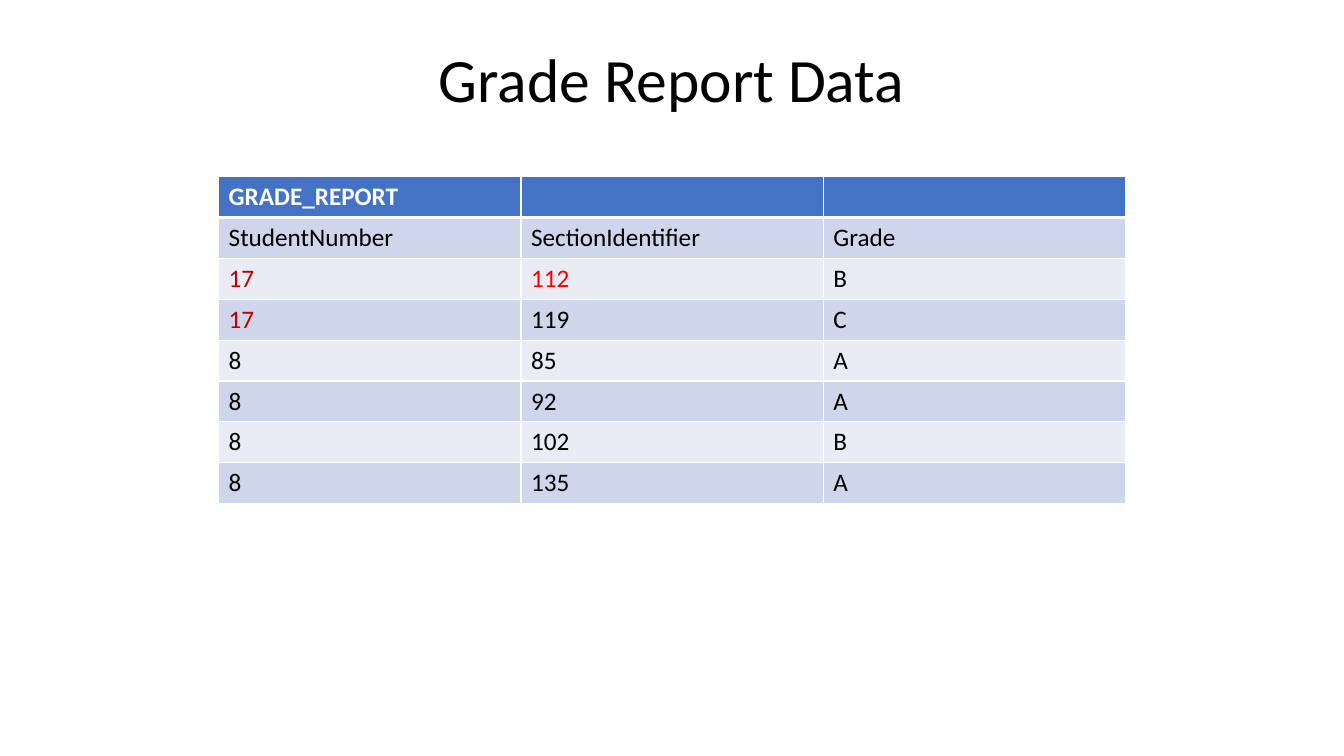
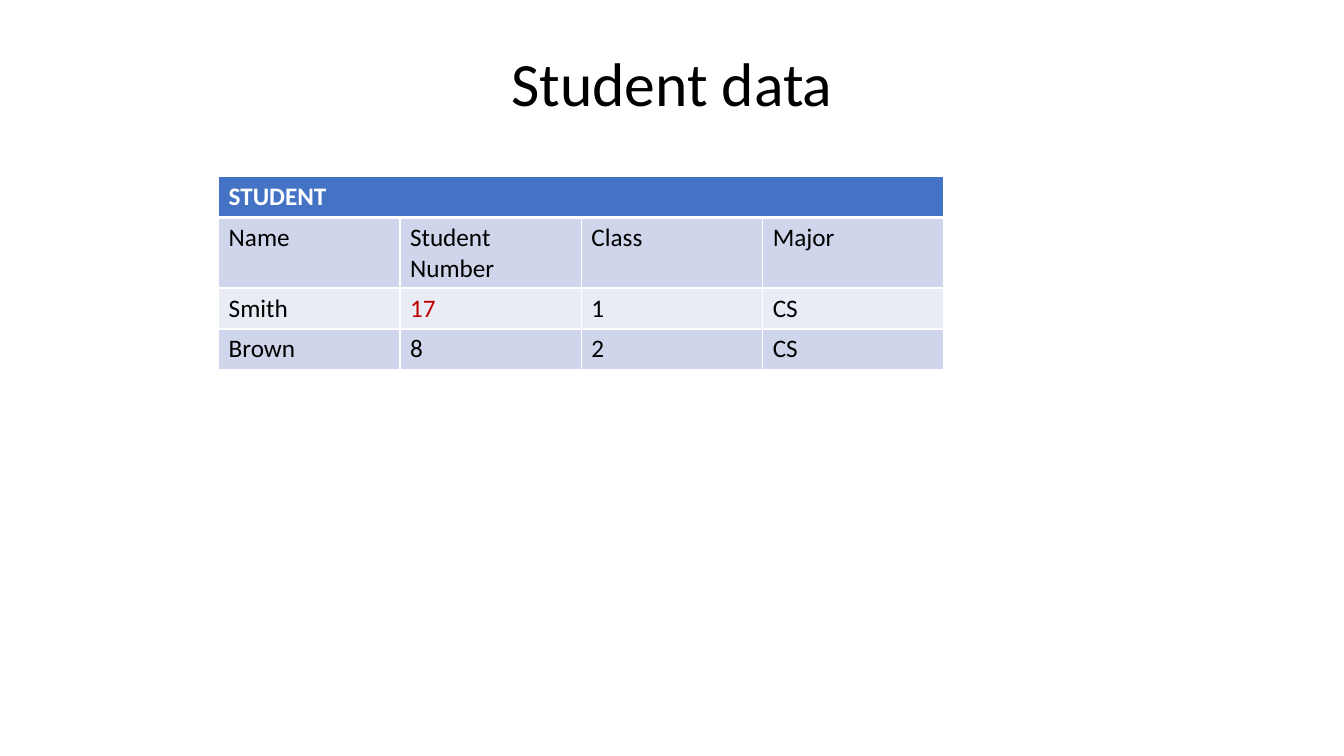
from dataclasses import dataclass, field

from lxml.etree import SubElement
from pptx import Presentation
from pptx.dml.color import RGBColor
from pptx.enum.text import MSO_ANCHOR as Anchor, PP_ALIGN as Align
from pptx.oxml.ns import qn
from pptx.util import Cm, Pt

# Shared look
FONT = "Calibri"
BLACK, WHITE, RED, BRIGHT = "000000", "FFFFFF", "C00000", "FF0000"
HEAD, BANDS = "4472C4", ("CFD5EA", "E9EBF5")
LEFT, TOP, ROW = 5.51, 4.45, 1.03
THIN, THICK = 1, 3


@dataclass
class Page:
    title: str
    top: float      # title box, in cm
    height: float
    name: str       # table heading
    width: float    # one column, in cm
    rows: list[tuple[str, ...]]
    marks: dict[tuple[int, int], str] = field(default_factory=dict)
    merged: bool = False


PAGES = [
    Page("Grade Report Data", 0.99, 2.16, "GRADE_REPORT", 7.62,
         [("StudentNumber", "SectionIdentifier", "Grade"),
          ("17", "112", "B"),
          ("17", "119", "C"),
          ("8", "85", "A"),
          ("8", "92", "A"),
          ("8", "102", "B"),
          ("8", "135", "A")],
         {(1, 0): RED, (1, 1): BRIGHT, (2, 0): RED}),
    Page("Student data", 1.02, 2.34, "STUDENT", 4.57,
         [("Name", "Student Number", "Class", "Major"),
          ("Smith", "17", "1", "CS"),
          ("Brown", "8", "2", "CS")],
         {(1, 1): RED}, merged=True),
]


def rgb(color: str) -> RGBColor:
    return RGBColor.from_string(color)


def style(frame, size: int, color: str, bold: bool = False) -> None:
    for run in frame.paragraphs[0].runs:
        font = run.font
        font.name, font.size, font.bold = FONT, Pt(size), bold
        font.color.rgb = rgb(color)


def edge(cell, side: str, width: int) -> None:
    line = SubElement(cell._tc.get_or_add_tcPr(), qn(f"a:ln{side}"), w=str(Pt(width)))
    fill = SubElement(line, qn("a:solidFill"))
    SubElement(fill, qn("a:srgbClr"), val=WHITE)


def paint(cell, text: str, back: str, color: str, row: int) -> None:
    """Fill one cell; a thick line parts the heading from the rows below."""
    edge(cell, "L", THIN)
    edge(cell, "R", THIN)
    edge(cell, "T", THICK if row == 1 else THIN)
    edge(cell, "B", THICK if row == 0 else THIN)
    cell.fill.solid()
    cell.fill.fore_color.rgb = rgb(back)
    cell.text_frame.text = text
    style(cell.text_frame, 18, color, bold=row == 0)


def add_title(slide, page: Page) -> None:
    box = slide.shapes.add_textbox(Cm(2.33), Cm(page.top), Cm(29.21), Cm(page.height))
    frame = box.text_frame
    frame.word_wrap = True
    frame.vertical_anchor = Anchor.MIDDLE
    frame.text = page.title
    para = frame.paragraphs[0]
    para.alignment, para.line_spacing = Align.CENTER, 0.9
    style(frame, 44, BLACK)


def add_grid(slide, page: Page) -> None:
    cols, count = len(page.rows[0]), len(page.rows) + 1
    table = slide.shapes.add_table(count, cols, Cm(LEFT), Cm(TOP),
                                   Cm(cols * page.width), Cm(count * ROW)).table
    for col in table.columns:
        col.width = Cm(page.width)
    for row in table.rows:
        row.height = Cm(ROW)

    # Heading row
    for c in range(cols):
        paint(table.cell(0, c), "" if c else page.name, HEAD, WHITE, 0)
    if page.merged:
        table.cell(0, 0).merge(table.cell(0, cols - 1))

    # Banded rows
    for r, texts in enumerate(page.rows):
        for c, text in enumerate(texts):
            color = page.marks.get((r, c), BLACK)
            paint(table.cell(r + 1, c), text, BANDS[r % 2], color, r + 1)


def main() -> None:
    deck = Presentation()
    deck.slide_width, deck.slide_height = Cm(33.87), Cm(19.05)
    for page in PAGES:
        slide = deck.slides.add_slide(deck.slide_layouts[6])
        add_title(slide, page)
        add_grid(slide, page)
    deck.save("out.pptx")


if __name__ == "__main__":
    main()
